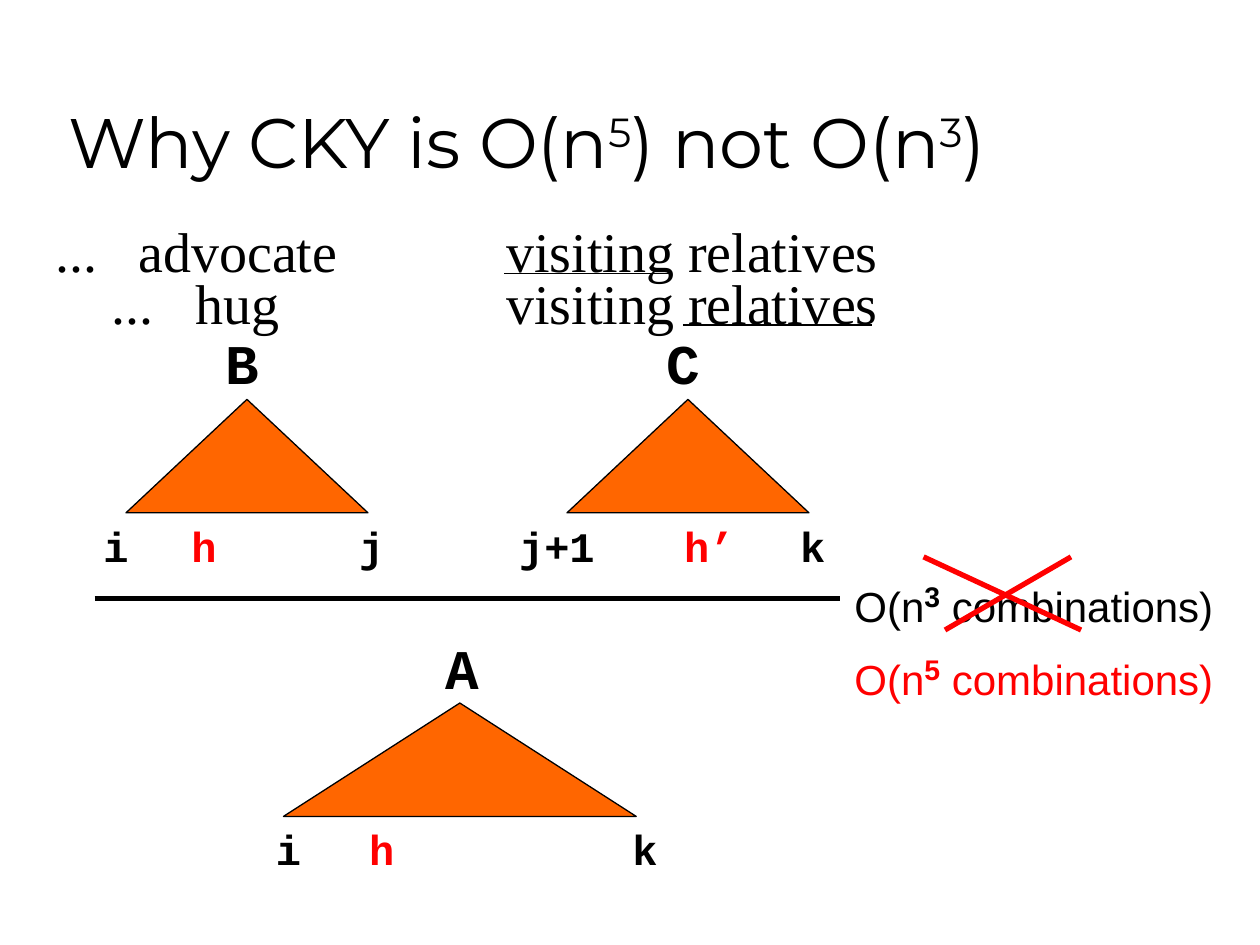
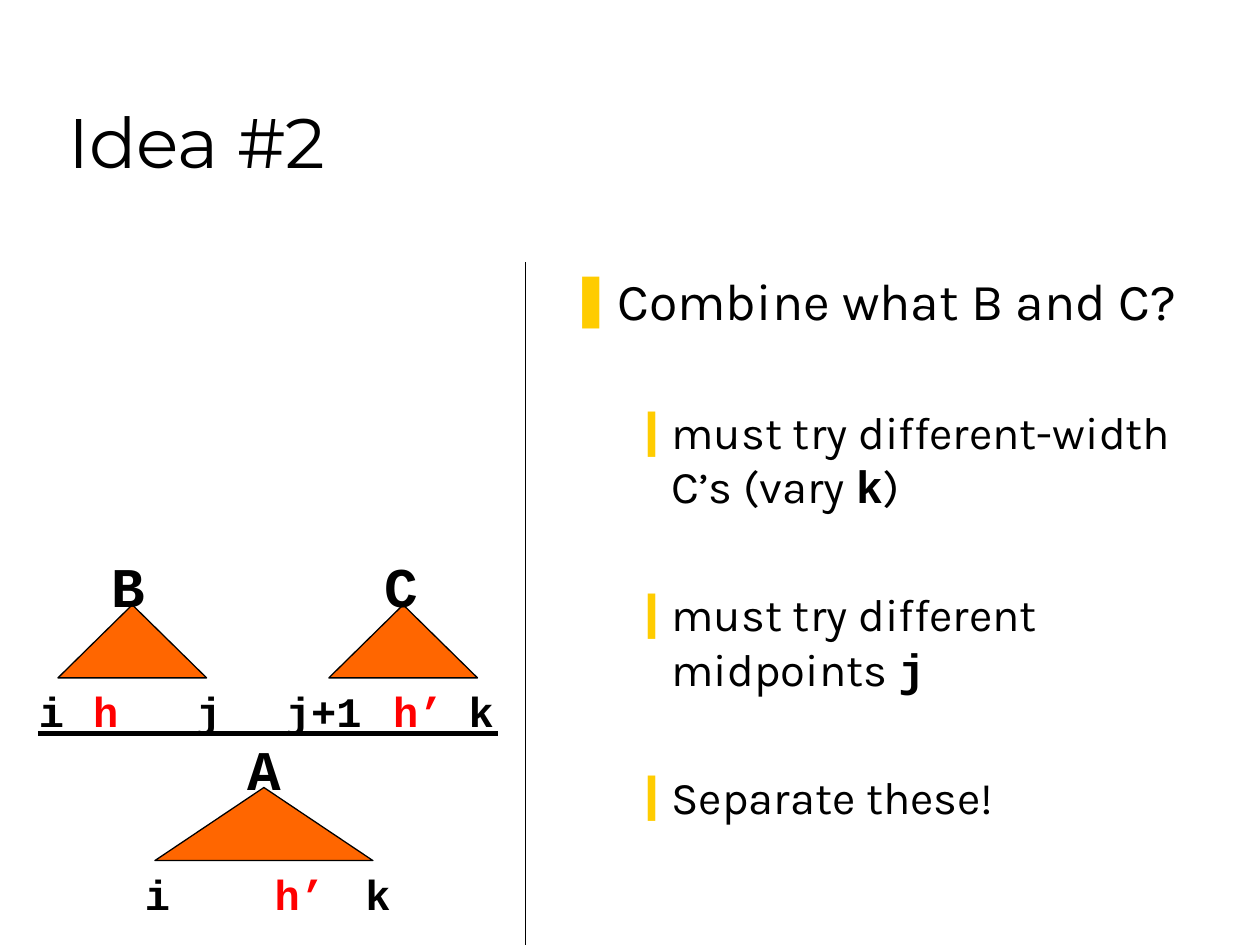
from lxml import etree
from pptx import Presentation
from pptx.dml.color import RGBColor
from pptx.enum.shapes import MSO_CONNECTOR, MSO_SHAPE
from pptx.enum.text import MSO_ANCHOR, MSO_AUTO_SIZE, PP_ALIGN
from pptx.oxml.ns import qn
from pptx.util import Inches, Pt

BLACK = RGBColor(0x00, 0x00, 0x00)
RED = RGBColor(0xFF, 0x00, 0x00)
ORANGE = RGBColor(0xFF, 0x66, 0x00)
YELLOW = RGBColor(0xFF, 0xCC, 0x00)

TITLE_FONT, BODY_FONT = "Montserrat", "Karla"
CODE_FONT, WORD_FONT, NOTE_FONT = "Courier New", "Times New Roman", "Arial"

TRIANGLE = MSO_SHAPE.ISOSCELES_TRIANGLE
STRAIGHT = MSO_CONNECTOR.STRAIGHT
LEFT, CENTER = PP_ALIGN.LEFT, PP_ALIGN.CENTER
BOTTOM, TOP = MSO_ANCHOR.BOTTOM, MSO_ANCHOR.TOP
NO_AUTOFIT = MSO_AUTO_SIZE.NONE
TITLE_AND_BODY, TITLE_ONLY = 1, 5

# Bullet character, left margin, hanging indent, space before, text size
BULLET_LEVELS = [("❚", 0.38, 0.38, 8, 29.6), ("❙", 0.81, 0.31, 42, 25.9)]


def place(sp, left, top, width, height):
    sp.left, sp.top = Inches(left), Inches(top)
    sp.width, sp.height = Inches(width), Inches(height)


def add_run(p, text, font, size, color=BLACK, bold=False, raised=False):
    r = p.add_run()
    r.text = text
    r.font.name, r.font.size, r.font.bold = font, Pt(size), bold
    r.font.color.rgb = color
    if raised:
        r._r.get_or_add_rPr().set("baseline", "30000")


def add_textbox(slide, left, top, width, height, align=CENTER):
    """Add an unwrapped text box and return its first paragraph."""
    sp = slide.shapes.add_textbox(*map(Inches, (left, top, width, height)))
    sp.text_frame.word_wrap = False
    p = sp.text_frame.paragraphs[0]
    p.alignment = align
    return p


def add_line(slide, x1, y1, x2, y2, color=BLACK, width=0.75):
    line = slide.shapes.add_connector(STRAIGHT, *map(Inches, (x1, y1, x2, y2)))
    line.line.color.rgb = color
    line.line.width = Pt(width)
    etree.SubElement(line._element.spPr, qn("a:effectLst"))


def add_title(slide, width, parts):
    """Fill the title; every second part is a superscript."""
    title = slide.shapes.title
    place(title, 0.44, 0.25, width, 1.25)
    tf = title.text_frame
    tf.vertical_anchor, tf.auto_size = BOTTOM, NO_AUTOFIT
    p = tf.paragraphs[0]
    p.alignment = LEFT
    for i, part in enumerate(parts):
        add_run(p, part, TITLE_FONT, 40, raised=i % 2 == 1)


def add_constituent(slide, box, name, name_offset, name_rise, labels):
    """Draw a triangle with its name above and index labels below.

    Offsets run from the triangle's left side; head positions (h) are red.
    """
    left, top, width, height = box
    sp = slide.shapes.add_shape(TRIANGLE, *map(Inches, box))
    sp.shadow.inherit = False
    sp.fill.solid()
    sp.fill.fore_color.rgb = ORANGE
    sp.line.color.rgb = BLACK
    sp.line.width = Pt(0.75)

    p = add_textbox(slide, left + name_offset, top - name_rise, 0.46, 0.64)
    add_run(p, name, CODE_FONT, 32, bold=True)
    for text, offset in labels:
        label_width = 0.2 + 0.2 * len(text)
        p = add_textbox(slide, left + offset, top + height + 0.01, label_width, 0.5)
        color = RED if text.startswith("h") else BLACK
        add_run(p, text, CODE_FONT, 24, color, bold=True)


def add_context(slide, left, top, width, word):
    """Write an ellipsis, then the word at a tab stop."""
    p = add_textbox(slide, left, top, width, 0.64, LEFT)
    tabs = etree.SubElement(p._p.get_or_add_pPr(), qn("a:tabLst"))
    etree.SubElement(tabs, qn("a:tab"), pos=str(Inches(0.66)), algn="l")
    add_run(p, "...\t" + word, WORD_FONT, 32)


def add_example(slide, top, context_left, context_width, word, underline):
    add_context(slide, context_left, top, context_width, word)
    p = add_textbox(slide, 3.92, top, 3.3, 0.64, LEFT)
    add_run(p, "visiting relatives", WORD_FONT, 32)
    start, end = underline
    add_line(slide, start, top + 0.5, end, top + 0.5)


def add_cost(slide, top, exponent, color):
    p = add_textbox(slide, 6.68, top, 3.05, 0.57)
    add_run(p, "O(n", NOTE_FONT, 24, color)
    add_run(p, exponent, NOTE_FONT, 28, color, bold=True, raised=True)
    add_run(p, " combinations)", NOTE_FONT, 24, color)


def add_bullet(p, level, text, code="", tail=""):
    char, margin, hang, before, size = BULLET_LEVELS[level]
    p.level = level
    p.alignment = LEFT
    p.space_before = Pt(before)
    pPr = p._p.get_or_add_pPr()
    pPr.set("marL", str(Inches(margin)))
    pPr.set("indent", str(-Inches(hang)))
    color = etree.SubElement(pPr, qn("a:buClr"))
    etree.SubElement(color, qn("a:srgbClr"), val=str(YELLOW))
    etree.SubElement(pPr, qn("a:buFont"), typeface=BODY_FONT)
    etree.SubElement(pPr, qn("a:buChar"), char=char)
    add_run(p, text, BODY_FONT, size)
    if code:
        add_run(p, code, CODE_FONT, size, bold=True)
    if tail:
        add_run(p, tail, BODY_FONT, size)


def build_complexity_slide(prs):
    slide = prs.slides.add_slide(prs.slide_layouts[TITLE_ONLY])
    add_title(slide, 8.89, ["Why CKY is O(n", "5", ") not O(n", "3", ")"])

    add_constituent(slide, (1, 3.17, 1.92, 0.9), "B", 0.69, 0.61,
                    [("i", -0.28), ("h", 0.42), ("j", 1.75)])
    add_constituent(slide, (4.5, 3.17, 1.92, 0.9), "C", 0.69, 0.61,
                    [("j+1", -0.48), ("h’", 0.83), ("k", 1.75)])
    add_line(slide, 0.75, 4.75, 6.67, 4.75, width=3)
    add_constituent(slide, (2.25, 5.58, 2.8, 0.9), "A", 1.19, 0.6,
                    [("i", -0.16), ("h", 0.58), ("k", 2.67)])

    add_cost(slide, 4.5, "3", BLACK)
    add_cost(slide, 5.08, "5", RED)
    add_line(slide, 7.33, 4.42, 8.58, 5, RED, 3)
    add_line(slide, 7.5, 5, 8.5, 4.42, RED, 3)

    add_example(slide, 2.08, 0.79, 1.53, "hug", (5.42, 6.92))
    add_example(slide, 1.67, 0.34, 2.45, "advocate", (4, 5.33))


def build_idea_slide(prs):
    slide = prs.slides.add_slide(prs.slide_layouts[TITLE_AND_BODY])
    add_title(slide, 8.5, ["Idea #2"])

    add_constituent(slide, (0.46, 4.8, 1.18, 0.58), "B", 0.33, 0.47,
                    [("i", -0.25), ("h", 0.18), ("j", 1)])
    add_constituent(slide, (2.61, 4.8, 1.18, 0.58), "C", 0.34, 0.47,
                    [("j+1", -0.44), ("h’", 0.41), ("k", 1.01)])
    add_line(slide, 0.3, 5.82, 3.95, 5.82, width=3)
    add_constituent(slide, (1.23, 6.25, 1.73, 0.58), "A", 0.64, 0.47,
                    [("i", -0.18), ("h’", 0.85), ("k", 1.57)])
    add_line(slide, 4.17, 2.08, 4.17, 7.5)

    body = slide.placeholders[1]
    place(body, 4.42, 2.08, 5.42, 4.56)
    tf = body.text_frame
    tf.vertical_anchor, tf.auto_size = TOP, NO_AUTOFIT
    add_bullet(tf.paragraphs[0], 0, "Combine what B and C?")
    for item in [("must try different-width C’s (vary ", "k", ")"),
                 ("must try different midpoints ", "j"),
                 ("Separate these!",)]:
        add_bullet(tf.add_paragraph(), 1, *item)


def main():
    prs = Presentation()
    prs.slide_width, prs.slide_height = Inches(10), Inches(7.5)
    build_complexity_slide(prs)
    build_idea_slide(prs)
    prs.save("out.pptx")


if __name__ == "__main__":
    main()
